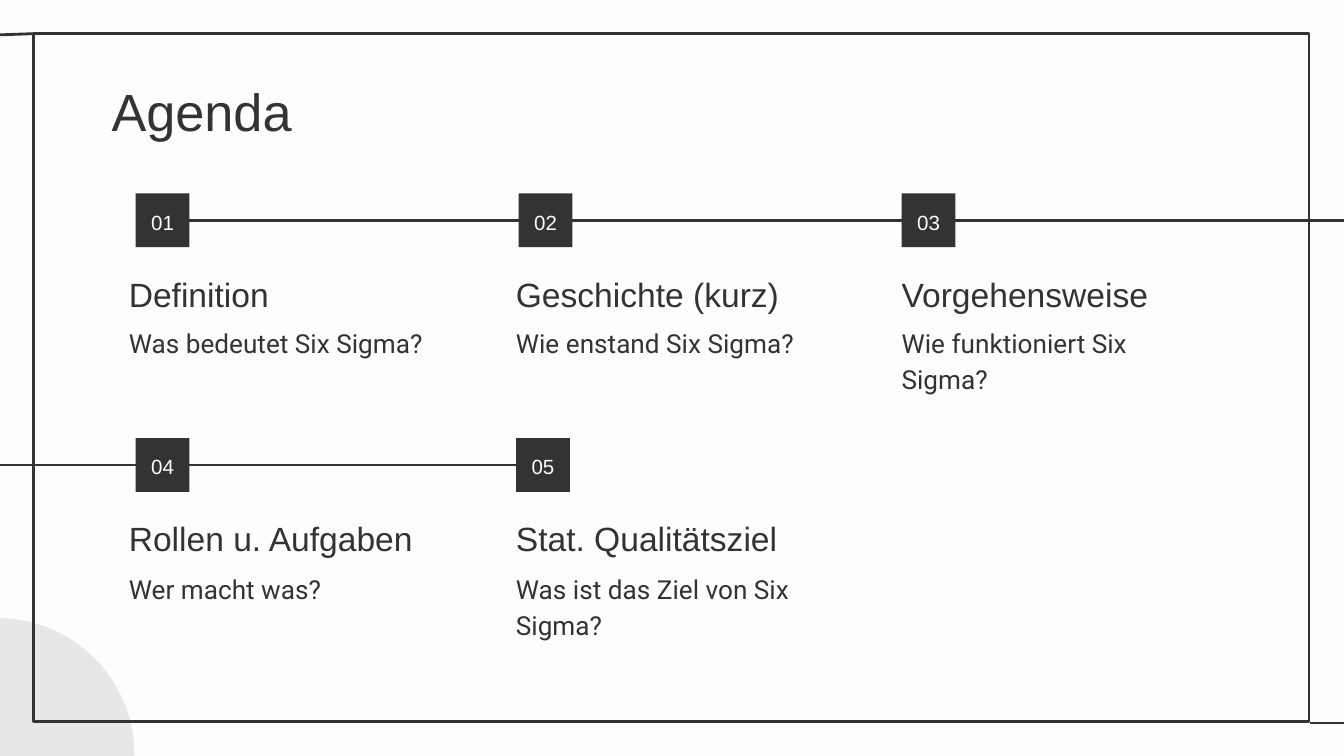
"""Build an agenda slide with five numbered topics on two timelines."""
from lxml.etree import SubElement
from pptx import Presentation
from pptx.dml.color import RGBColor
from pptx.enum.shapes import MSO_CONNECTOR, MSO_SHAPE
from pptx.enum.text import MSO_ANCHOR, PP_ALIGN
from pptx.oxml.ns import qn
from pptx.util import Inches, Pt

COLORS = {"paper": "FDFDFD", "ink": "333333", "circle": "E8E7E7"}


def write(shape, text, size, font="Arial", color="ink", align=PP_ALIGN.LEFT,
          anchor=MSO_ANCHOR.TOP, spacing=1.15):
    frame = shape.text_frame
    frame.word_wrap = True
    frame.vertical_anchor = anchor
    frame.margin_left = frame.margin_right = Inches(0.1)
    frame.margin_top = frame.margin_bottom = Inches(0.1)
    para = frame.paragraphs[0]
    para.alignment = align
    para.line_spacing = spacing
    span = para.add_run()
    span.text = text
    span.font.size = Pt(size)
    span.font.name = font
    span.font.color.rgb = RGBColor.from_string(COLORS[color])


def draw_line(page, start, end):
    line = page.shapes.add_connector(
        MSO_CONNECTOR.STRAIGHT, *[Inches(value) for value in start + end])
    line.line.color.rgb = RGBColor.from_string(COLORS["ink"])
    line.line.width = Pt(1.5)
    SubElement(line.element.spPr, qn("a:effectLst"))
    return line


deck = Presentation()
deck.slide_width = Inches(10)
deck.slide_height = Inches(10) * 9 // 16
page = deck.slides.add_slide(deck.slide_layouts[5])
page.background.fill.solid()
page.background.fill.fore_color.rgb = RGBColor.from_string(COLORS["paper"])

circle = page.shapes.add_shape(
    MSO_SHAPE.OVAL, Inches(-1.03), Inches(4.6), Inches(2.03), Inches(2.03))
circle.shadow.inherit = False
circle.fill.solid()
circle.fill.fore_color.rgb = RGBColor.from_string(COLORS["circle"])
circle.line.fill.background()

border = page.shapes.add_shape(
    MSO_SHAPE.RECTANGLE, Inches(0.25), Inches(0.25), Inches(9.49), Inches(5.12))
border.shadow.inherit = False
border.fill.background()
border.line.color.rgb = RGBColor.from_string(COLORS["ink"])
border.line.width = Pt(1.5)
draw_line(page, (0.26, 0.25), (-0.02, 0.26))
draw_line(page, (10.03, 5.38), (9.75, 5.38))

title = page.shapes.title
title.left, title.top = Inches(0.73), Inches(0.49)
title.width, title.height = Inches(8.42), Inches(0.62)
write(title, "Agenda", 28, spacing=1.0)

BOX = 0.4
TEXT_WIDTH = 2.52
ROWS = [
    {"box": 1.44, "heading": 2.02, "detail": 2.3},
    {"box": 3.26, "heading": 3.83, "detail": 4.13},
]
TEXT_LEFTS = [0.86, 3.74, 6.61]
LINE_ENDS = {"01": (10.17, 3), "05": (-0.18, 1)}
TOPICS = [
    ("01", 0, 0, 1.01, "Definition", "Was bedeutet Six Sigma?"),
    ("05", 1, 1, 3.84, "Stat. Qualitätsziel", "Was ist das Ziel von Six Sigma?"),
    ("02", 0, 1, 3.86, "Geschichte (kurz)", "Wie enstand Six Sigma?"),
    ("03", 0, 2, 6.71, "Vorgehensweise", "Wie funktioniert Six Sigma?"),
    ("04", 1, 0, 1.01, "Rollen u. Aufgaben", "Wer macht was?"),
]

for number, row, column, box_left, heading, detail in TOPICS:
    tops = ROWS[row]
    box = page.shapes.add_shape(
        MSO_SHAPE.RECTANGLE, Inches(box_left), Inches(tops["box"]),
        Inches(BOX), Inches(BOX))
    box.shadow.inherit = False
    box.fill.solid()
    box.fill.fore_color.rgb = RGBColor.from_string(COLORS["ink"])
    box.line.fill.background()
    write(box, number, 11, color="paper", align=PP_ALIGN.CENTER,
          anchor=MSO_ANCHOR.MIDDLE)

    if number in LINE_ENDS:
        line_end, side = LINE_ENDS[number]
        middle = tops["box"] + BOX / 2
        timeline = draw_line(page, (box_left, middle), (line_end, middle))
        timeline.begin_connect(box, side)

    left = Inches(TEXT_LEFTS[column])
    heading_box = page.shapes.add_textbox(
        left, Inches(tops["heading"]), Inches(TEXT_WIDTH), Inches(0.42))
    write(heading_box, heading, 18, anchor=MSO_ANCHOR.BOTTOM)
    detail_box = page.shapes.add_textbox(
        left, Inches(tops["detail"]), Inches(TEXT_WIDTH), Inches(0.62))
    write(detail_box, detail, 14, font="Roboto")

deck.save("out.pptx")
